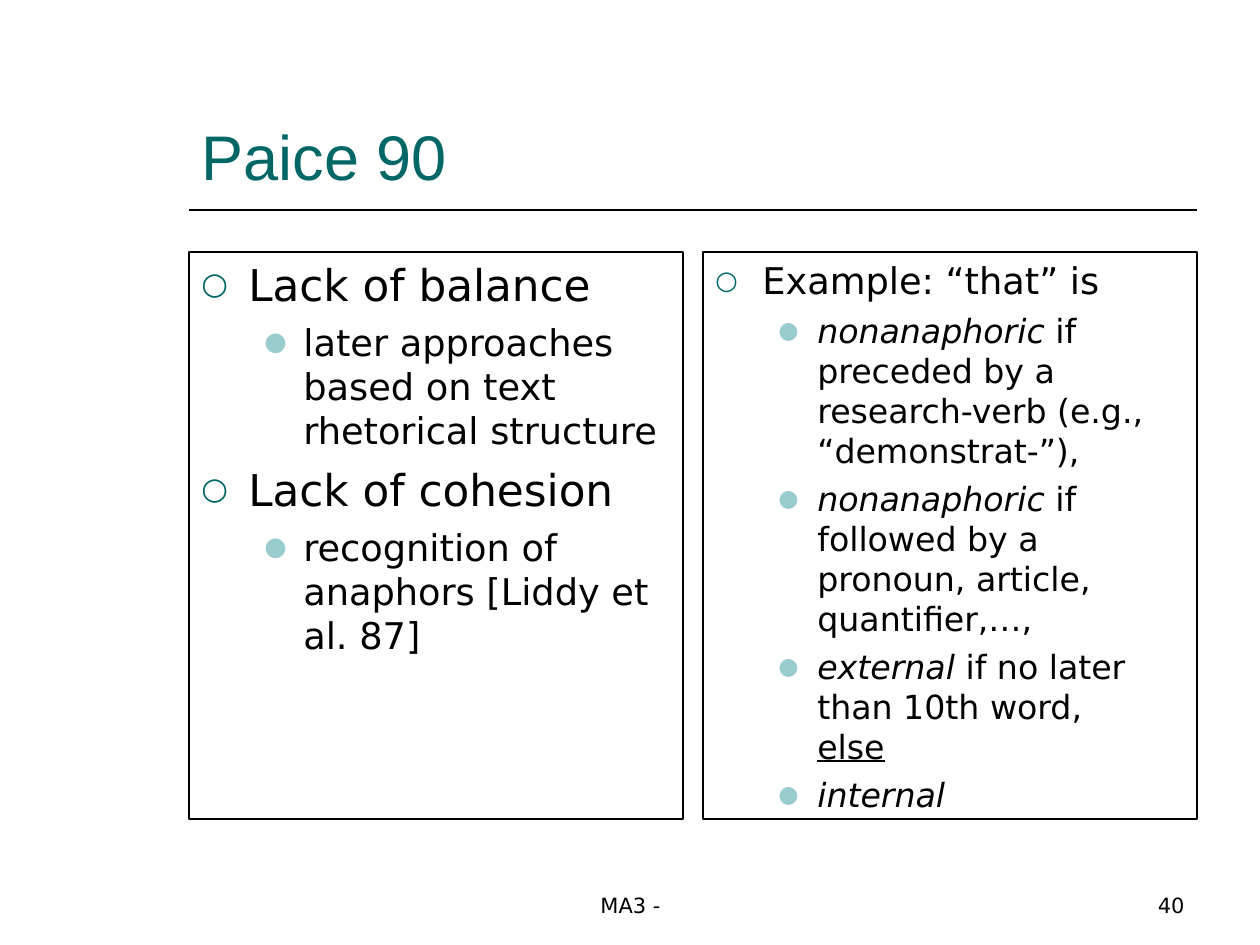
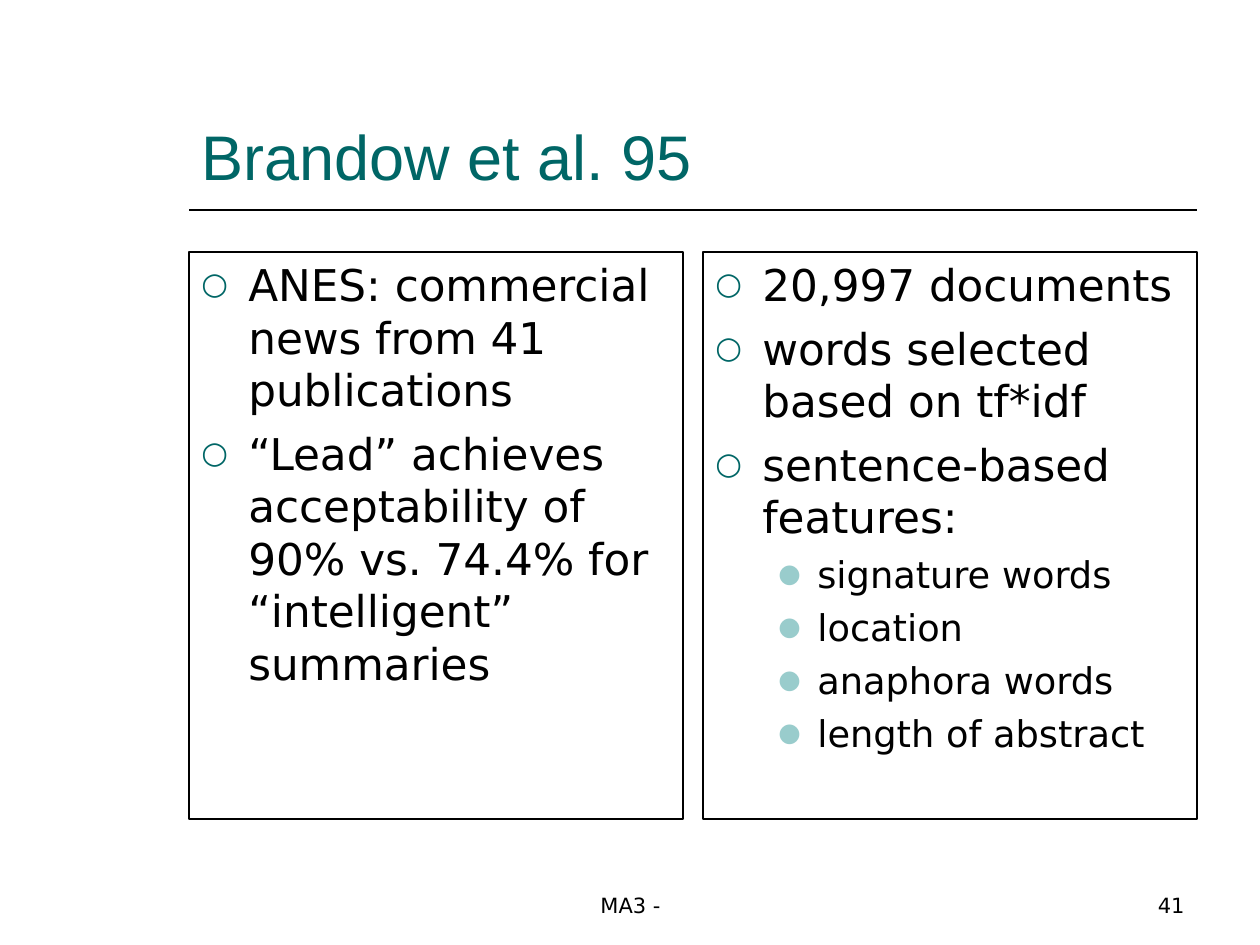
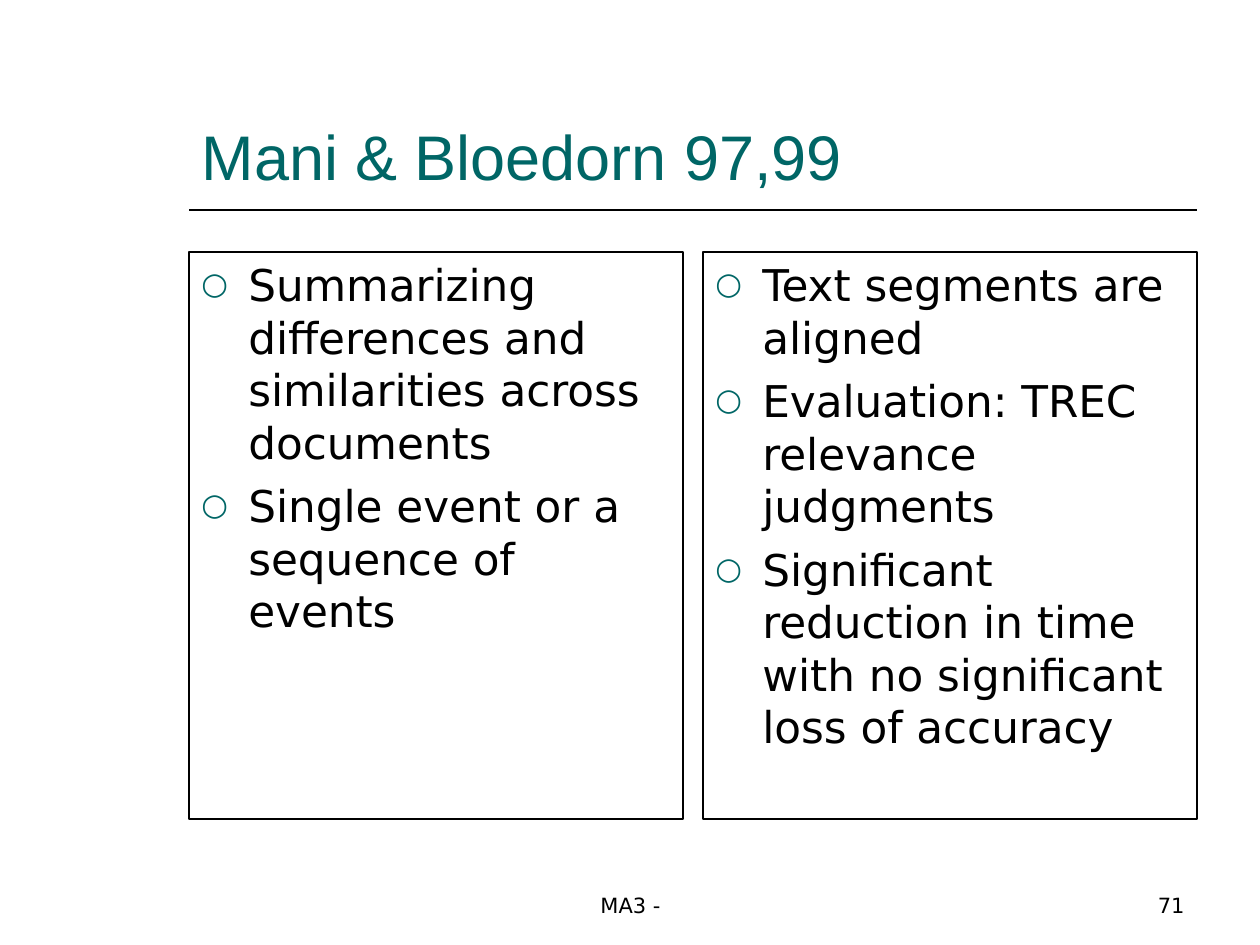
from pptx import Presentation
from pptx.dml.color import RGBColor
from pptx.enum.shapes import MSO_CONNECTOR, MSO_SHAPE
from pptx.enum.text import MSO_ANCHOR, MSO_AUTO_SIZE, PP_ALIGN
from pptx.oxml.ns import qn
from pptx.util import Emu, Pt
from lxml.etree import SubElement

# Shared style
TEAL = RGBColor(0x00, 0x66, 0x66)
PALE_TEAL = RGBColor(0x99, 0xCC, 0xCC)
BLACK = RGBColor(0x00, 0x00, 0x00)
TITLE_FONT = "Arial"
BODY_FONT = "DejaVu Sans"
LEFT, RIGHT = 189, 1197
COLUMN_WIDTH = 494
BULLETS = [("○", TEAL, 47, 47), ("●", PALE_TEAL, 102, 39)]  # sign, colour, margin, hang
NORMAL = [(25, 6.2), (21, 5.2)]  # size and space before, by level
SMALL = [(21, 5.2), (19, 4.8)]

# Slides: title, number, then two columns of (sizes, items);
# an item is a level and its text, or a list of (style, text) runs
SLIDES = [
    ("Paice 90", "40", [
        (NORMAL, [
            (0, "Lack of balance"),
            (1, "later approaches based on text rhetorical structure"),
            (0, "Lack of cohesion"),
            (1, "recognition of anaphors [Liddy et al. 87]"),
        ]),
        (SMALL, [
            (0, "Example: “that” is"),
            (1, [("italic", "nonanaphoric"),
                 ("plain", " if preceded by a research-verb (e.g., “demonstrat-”),")]),
            (1, [("italic", "nonanaphoric"),
                 ("plain", " if followed by a pronoun, article, quantifier,…,")]),
            (1, [("italic", "external"), ("plain", " if no later than 10th word,"),
                 ("break", ""), ("underline", "else")]),
            (1, [("italic", "internal")]),
        ]),
    ]),
    ("Brandow et al. 95", "41", [
        (NORMAL, [
            (0, "ANES: commercial news from 41 publications"),
            (0, "“Lead” achieves acceptability of 90% vs. 74.4% for “intelligent” summaries"),
        ]),
        (NORMAL, [
            (0, "20,997 documents"),
            (0, "words selected based on tf*idf"),
            (0, "sentence-based features:"),
            (1, "signature words"),
            (1, "location"),
            (1, "anaphora words"),
            (1, "length of abstract"),
        ]),
    ]),
    ("Mani & Bloedorn 97,99", "71", [
        (NORMAL, [
            (0, "Summarizing differences and similarities across documents"),
            (0, "Single event or a sequence of events"),
        ]),
        (NORMAL, [
            (0, "Text segments are aligned"),
            (0, "Evaluation: TREC relevance judgments"),
            (0, "Significant reduction in time with no significant loss of accuracy"),
        ]),
    ]),
]


def px(length):
    return Emu(round(length * 914400 / 126))


def style_text(paragraph, size, font=BODY_FONT, color=BLACK, align=PP_ALIGN.LEFT):
    paragraph.alignment = align
    paragraph.font.size = Pt(size)
    paragraph.font.name = font
    paragraph.font.color.rgb = color


presentation = Presentation()
presentation.slide_width = px(1260)
presentation.slide_height = px(945)

for title_text, number, columns in SLIDES:
    slide = presentation.slides.add_slide(presentation.slide_layouts[5])

    # Title
    title = slide.shapes.title
    title.left, title.top, title.width, title.height = px(LEFT), px(42), px(RIGHT - LEFT), px(157)
    title.text_frame.text = title_text
    title.text_frame.auto_size = MSO_AUTO_SIZE.NONE
    title.text_frame.vertical_anchor = MSO_ANCHOR.BOTTOM
    style_text(title.text_frame.paragraphs[0], 36, TITLE_FONT, TEAL)

    # Rule under the title
    rule = slide.shapes.add_connector(MSO_CONNECTOR.STRAIGHT, px(LEFT), px(210), px(RIGHT), px(210))
    rule.line.color.rgb = BLACK
    rule.line.width = Pt(1)
    SubElement(rule._element.spPr, qn("a:effectLst"))

    # Two framed columns of bullets
    for column_left, (sizes, items) in zip((LEFT, RIGHT - COLUMN_WIDTH), columns):
        column = slide.shapes.add_shape(
            MSO_SHAPE.RECTANGLE, px(column_left), px(252), px(COLUMN_WIDTH), px(567))
        column.shadow.inherit = False
        column.fill.background()
        column.line.color.rgb = BLACK
        column.line.width = Pt(0.75)
        frame = column.text_frame
        frame.word_wrap = True
        frame.vertical_anchor = MSO_ANCHOR.TOP

        for index, (level, content) in enumerate(items):
            paragraph = frame.add_paragraph() if index else frame.paragraphs[0]
            paragraph.level = level
            size, space_before = sizes[level]
            paragraph.space_before = Pt(space_before if index else 0)

            # Bullet
            sign, bullet_color, margin, hang = BULLETS[level]
            properties = paragraph._p.get_or_add_pPr()
            properties.set("marL", str(px(margin)))
            properties.set("indent", str(px(-hang)))
            color_holder = SubElement(properties, qn("a:buClr"))
            SubElement(color_holder, qn("a:srgbClr"), val=str(bullet_color))
            SubElement(properties, qn("a:buSzPct"), val="70000")
            SubElement(properties, qn("a:buFont"), typeface=BODY_FONT)
            SubElement(properties, qn("a:buChar"), char=sign)
            style_text(paragraph, size)

            # Runs
            runs = [("plain", content)] if isinstance(content, str) else content
            for style, text in runs:
                if style == "break":
                    paragraph.add_line_break()
                    continue
                run = paragraph.add_run()
                run.text = text
                if style == "italic":
                    run.font.italic = True
                elif style == "underline":
                    run.font.underline = True

    # Footer and slide number
    for text, left, width, align in (("MA3 -", 431, 399, PP_ALIGN.CENTER),
                                     (number, 903, 294, PP_ALIGN.RIGHT)):
        footer = slide.shapes.add_textbox(px(left), px(861), px(width), px(63))
        footer.text_frame.word_wrap = True
        footer.text_frame.vertical_anchor = MSO_ANCHOR.BOTTOM
        footer.text_frame.text = text
        style_text(footer.text_frame.paragraphs[0], 12, align=align)

presentation.save("out.pptx")
